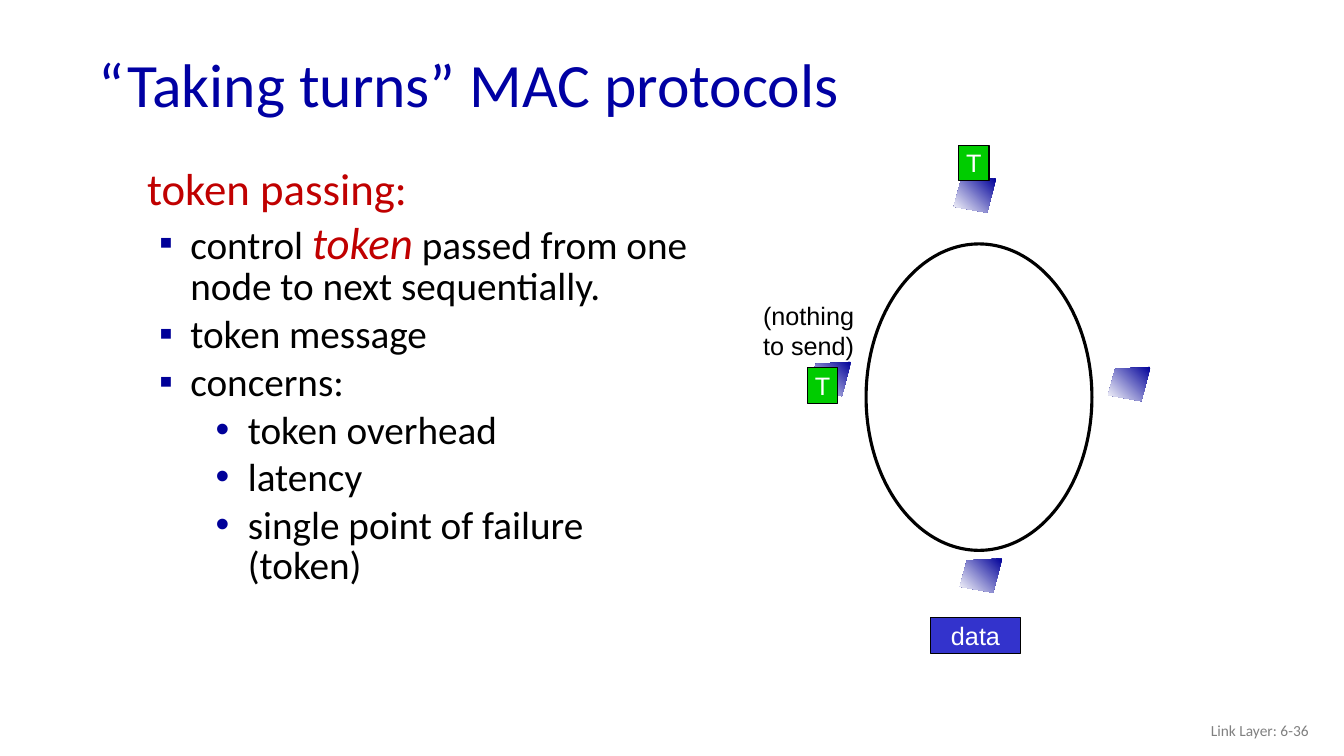
"""Build the token passing slide with its ring of four nodes."""
from lxml.etree import SubElement
from pptx import Presentation
from pptx.dml.color import RGBColor
from pptx.enum.shapes import MSO_SHAPE as Preset
from pptx.enum.text import MSO_ANCHOR as Anchor, PP_ALIGN as Align
from pptx.oxml.ns import qn
from pptx.util import Inches, Pt

COLORS = {
    "title": "0000A3", "accent": "C00000", "text": "000000", "footer": "808080",
    "bullet": "000099", "token": "00CC00", "data": "3333CC", "white": "FFFFFF",
}
BODY = [
    ("", [("token passing:", False)]),
    ("▪", [("control ", False), ("token", True),
           (" passed from one node to next sequentially.", False)]),
    ("▪", [("token message", False)]),
    ("▪", [("concerns:", False)]),
    ("•", [("token overhead", False)]),
    ("•", [("latency", False)]),
    ("•", [("single point of failure (token)", False)]),
]
INDENTS = {"": (0, 0), "▪": (0.43, -0.31), "•": (1, -0.32)}
NODES = [(10.99, 3.64), (8.02, 3.59), (9.46, 1.77), (9.52, 5.54)]
NODE_OUTLINE = [(0.42, 0), (0.07, 0.02), (0, 0.28), (0.33, 0.34)]


def color(name):
    """Return the named colour."""
    return RGBColor.from_string(COLORS[name])


def set_font(font, size, name, face="Calibri"):
    """Set the size, colour and face of a font."""
    font.size = Pt(size)
    font.name = face
    font.color.rgb = color(name)


def add_text(page, place, lines, size, name, face="Calibri", align=Align.LEFT,
             anchor=Anchor.TOP, wrap=True):
    """Add a text box with one paragraph for each line."""
    box = page.shapes.add_textbox(*map(Inches, place))
    box.text_frame.word_wrap = wrap
    box.text_frame.vertical_anchor = anchor
    box.text_frame.text = "\n".join(lines)
    for para in box.text_frame.paragraphs:
        para.alignment = align
        set_font(para.font, size, name, face)
    return box


def set_bullet(para, mark):
    """Give a paragraph its hanging indent and bullet mark."""
    props = para._p.get_or_add_pPr()
    margin, indent = INDENTS[mark]
    props.set("marL", str(Inches(margin)))
    props.set("indent", str(Inches(indent)))
    if mark:
        tint = SubElement(props, qn("a:buClr"))
        SubElement(tint, qn("a:srgbClr"), val=COLORS["bullet"])
        SubElement(props, qn("a:buFont"), typeface="Arial")
        SubElement(props, qn("a:buChar"), char=mark)


def add_body(page):
    """Add the heading and the bulleted list."""
    frame = page.shapes.add_textbox(*map(Inches, (1.36, 1.63, 5.68, 5.08))).text_frame
    frame.word_wrap = True
    for index, (mark, spans) in enumerate(BODY):
        para = frame.add_paragraph() if index else frame.paragraphs[0]
        set_bullet(para, mark)
        para.line_spacing = 0.85
        para.space_before = Pt(5.6 if index else 0)
        set_font(para.font, 28 if mark else 32, "text" if mark else "accent")
        for text, stressed in spans:
            span = para.add_run()
            span.text = text
            if stressed:
                set_font(span.font, 32, "accent")
                span.font.italic = True


def add_node(page, left, top):
    """Add a slanted node with a gradient fill."""
    points = [(Inches(left + x), Inches(top + y)) for x, y in NODE_OUTLINE]
    builder = page.shapes.build_freeform(*points[0])
    builder.add_line_segments(points[1:])
    node = builder.convert_to_shape()
    node.shadow.inherit = False
    node.line.fill.background()
    node.fill.gradient()
    node.fill.gradient_angle = 225
    for stop, name in zip(node.fill.gradient_stops, ("bullet", "white")):
        stop.color.rgb = color(name)


def add_outlined(page, preset, place, weight):
    """Add an unfilled preset shape with a black outline."""
    shape = page.shapes.add_shape(preset, *map(Inches, place))
    shape.shadow.inherit = False
    shape.fill.background()
    shape.line.color.rgb = color("text")
    shape.line.width = Pt(weight)
    return shape


def add_label(page, place, text, fill):
    """Add a filled rectangle with a centred white label."""
    label = add_outlined(page, Preset.RECTANGLE, place, 0.75)
    label.fill.solid()
    label.fill.fore_color.rgb = color(fill)
    frame = label.text_frame
    frame.word_wrap = False
    frame.vertical_anchor = Anchor.MIDDLE
    para = frame.paragraphs[0]
    para.text = text
    para.alignment = Align.CENTER
    set_font(para.font, 18, "white", "Arial")


def main():
    """Build and save the slide."""
    deck = Presentation()
    deck.slide_width, deck.slide_height = Inches(13.33), Inches(7.5)
    page = deck.slides.add_slide(deck.slide_layouts[6])
    title = add_text(page, (0.88, 0.38, 11.5, 0.98), ["“Taking turns” MAC protocols"],
                     44, "title", anchor=Anchor.MIDDLE)
    title.text_frame.paragraphs[0].line_spacing = 0.9
    add_text(page, (10.08, 7.05, 3, 0.4), ["Link Layer: 6-36"], 11, "footer",
             align=Align.RIGHT, anchor=Anchor.MIDDLE)
    add_body(page)
    for left, top in NODES:
        add_node(page, left, top)
    add_outlined(page, Preset.OVAL, (8.59, 2.42, 2.24, 3.04), 2.25)
    add_label(page, (9.51, 1.44, 0.3, 0.35), "T", "token")
    add_label(page, (9.23, 6.13, 0.89, 0.35), "data", "data")
    add_text(page, (7.47, 2.93, 1.1, 0.7), ["(nothing", "to send)"], 18, "text",
             "Arial", wrap=False)
    add_label(page, (8.01, 3.65, 0.3, 0.35), "T", "token")
    deck.save("out.pptx")


if __name__ == "__main__":
    main()
